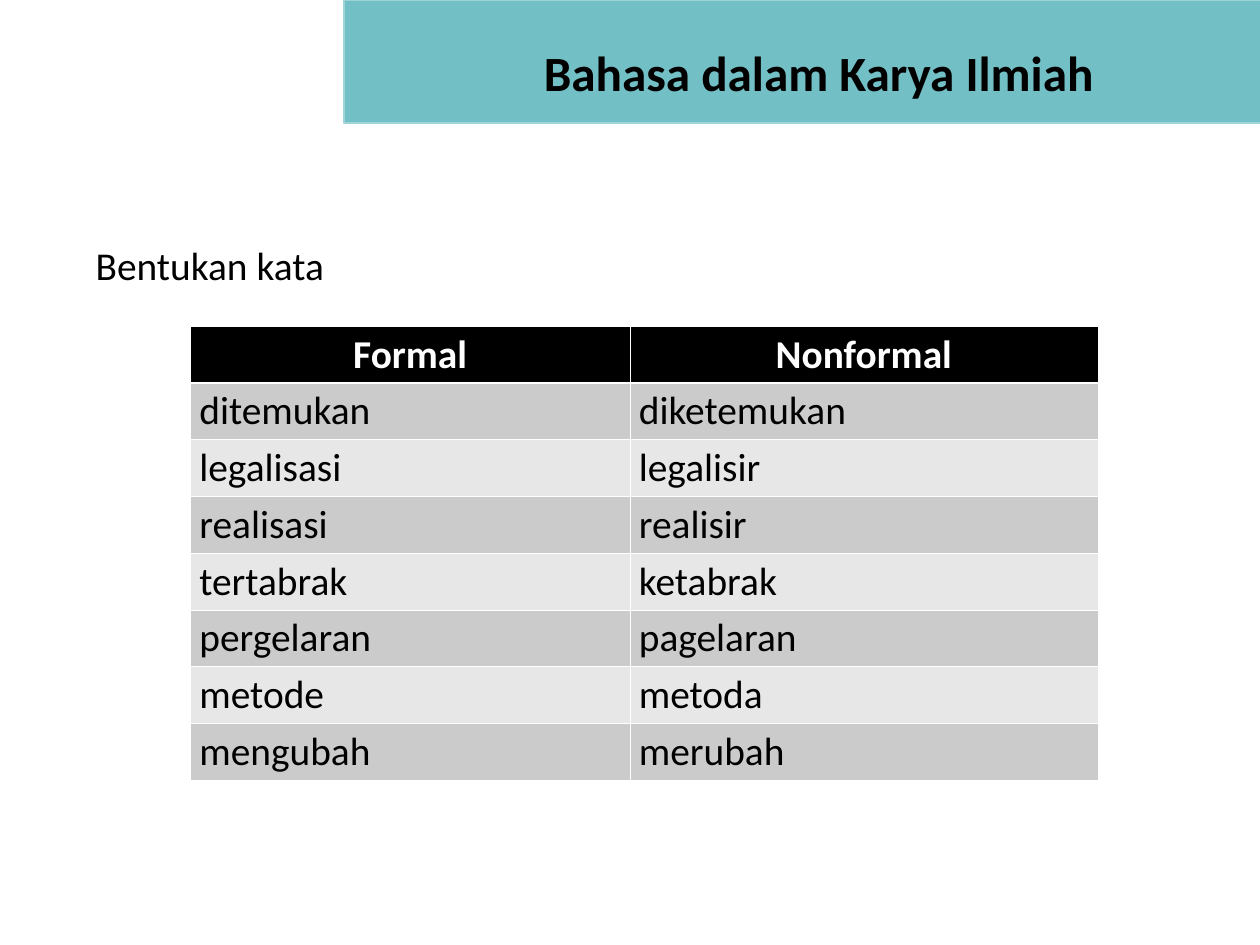
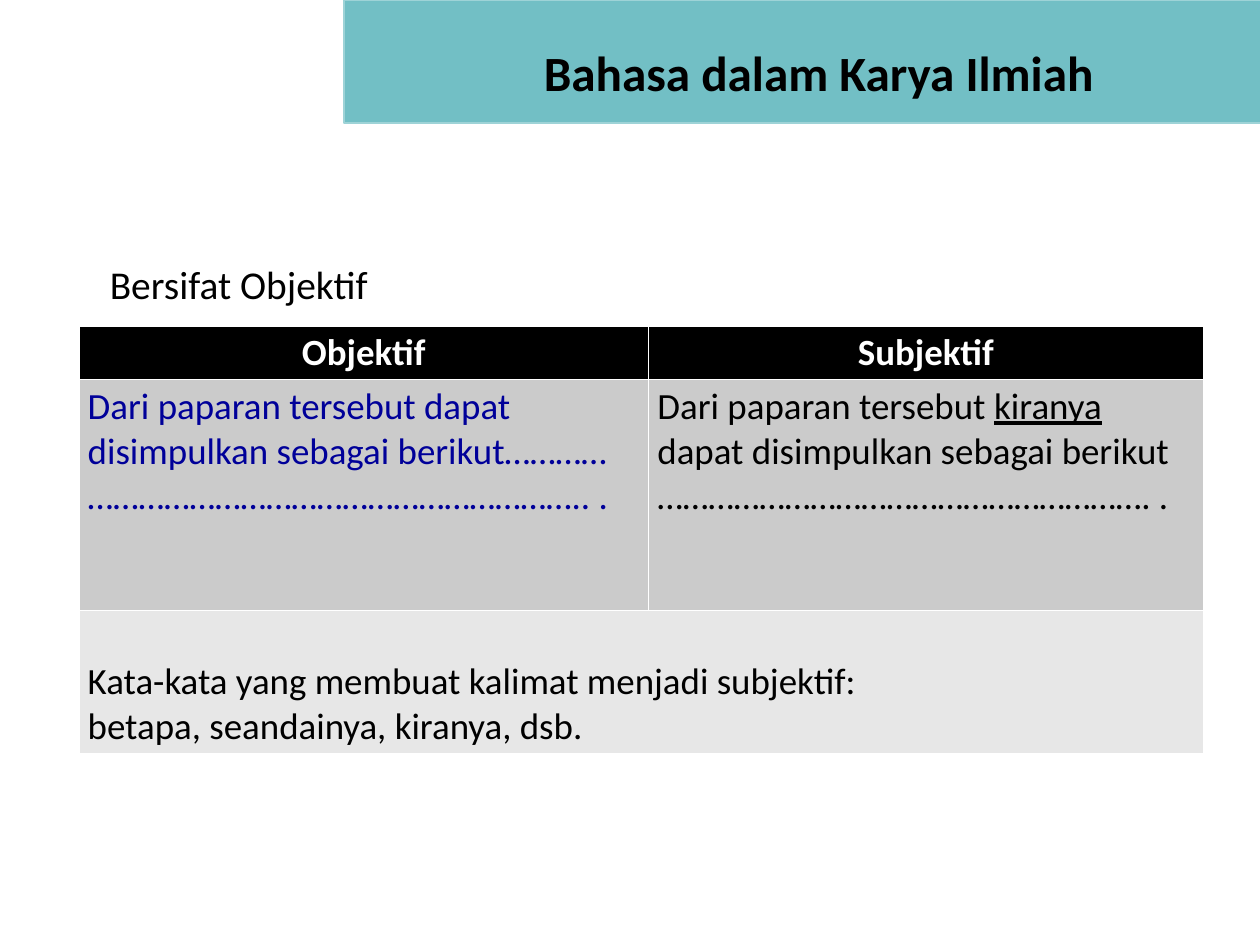
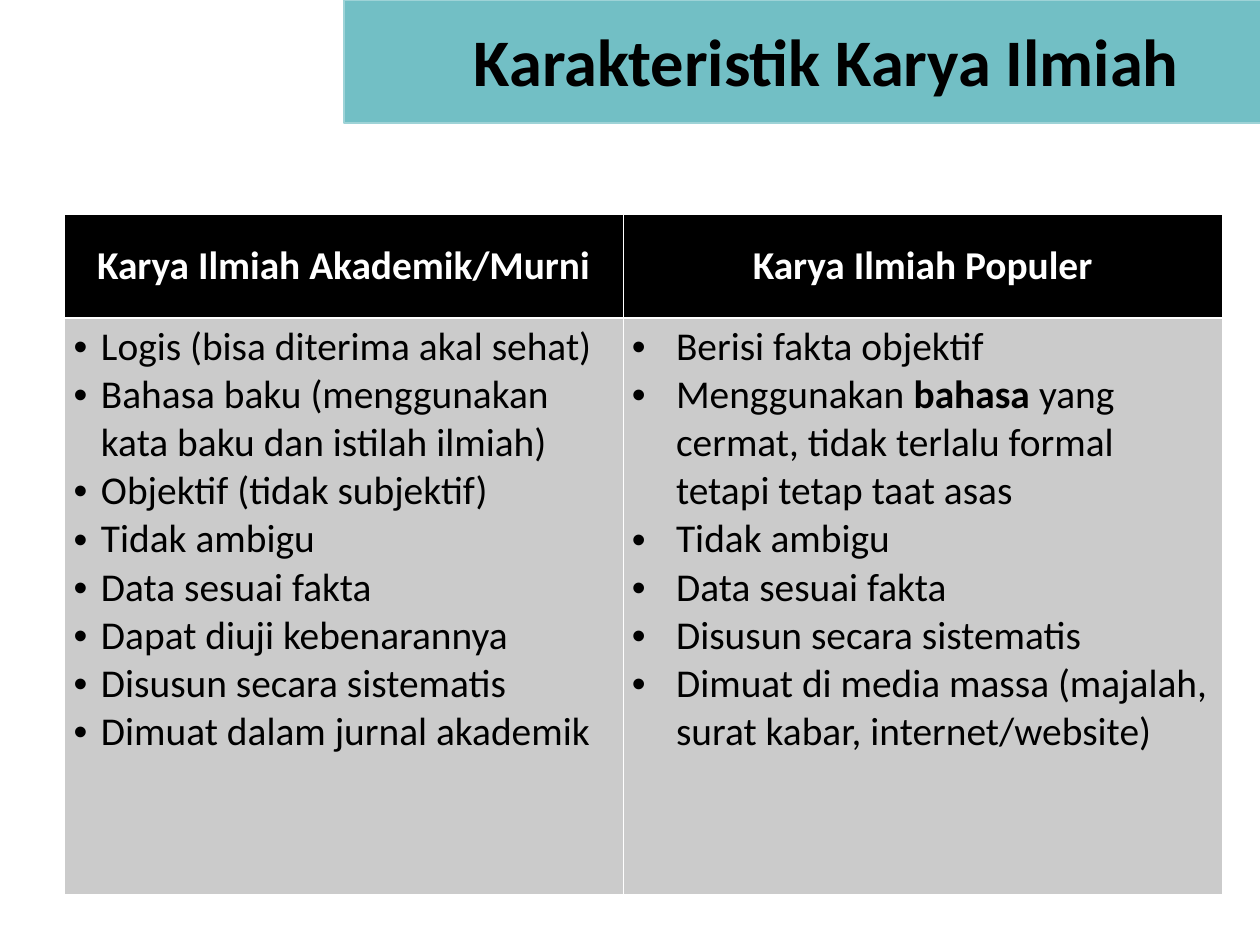
from lxml import etree
from pptx import Presentation
from pptx.dml.color import RGBColor
from pptx.enum.shapes import MSO_SHAPE
from pptx.enum.text import MSO_ANCHOR as ANCHOR, PP_ALIGN as ALIGN
from pptx.oxml.ns import qn
from pptx.util import Inches, Pt

FONT = "Calibri"
BLACK = RGBColor(0x00, 0x00, 0x00)
WHITE = RGBColor(0xFF, 0xFF, 0xFF)
TEAL = RGBColor(0x72, 0xBF, 0xC5)
TEAL_EDGE = RGBColor(0x9E, 0xD3, 0xD7)
BLUE = RGBColor(0x00, 0x00, 0x99)
BANDS = (RGBColor(0xCB, 0xCB, 0xCB), RGBColor(0xE7, 0xE7, 0xE7))
THIN, THICK = 0.45, 1.47
TITLE_BOX = (5.38, 0.25, 7.72, 1.11)
WIDE_TITLE_BOX = (4.12, -0.04, 10.42, 1.43)

WORD_PAIRS = [
    ("ditemukan", "diketemukan"),
    ("legalisasi", "legalisir"),
    ("realisasi", "realisir"),
    ("tertabrak", "ketabrak"),
    ("pergelaran", "pagelaran"),
    ("metode", "metoda"),
    ("mengubah", "merubah"),
]
OBJECTIVE = ["Dari paparan tersebut dapat disimpulkan sebagai berikut………… "
             "………………………………………………….. ."]
SUBJECTIVE = [["Dari paparan tersebut ", ("kiranya", {"underline": True}),
               " dapat disimpulkan sebagai berikut "
               "…………………………………………………. ."]]
SUBJECTIVE_WORDS = ["Kata-kata yang membuat kalimat menjadi subjektif:",
                    "betapa, seandainya, kiranya, dsb."]
ACADEMIC = [
    "Logis (bisa diterima akal sehat)",
    "Bahasa baku (menggunakan kata baku dan istilah ilmiah)",
    "Objektif (tidak subjektif)",
    "Tidak ambigu",
    "Data sesuai fakta",
    "Dapat diuji kebenarannya",
    "Disusun secara sistematis",
    "Dimuat dalam jurnal akademik",
]
POPULAR = [
    "Berisi fakta objektif",
    ["Menggunakan ", ("bahasa", {"bold": True}),
     " yang cermat, tidak terlalu formal tetapi tetap taat asas"],
    "Tidak ambigu",
    "Data sesuai fakta",
    "Disusun secara sistematis",
    "Dimuat di media massa (majalah, surat kabar, internet/website)",
]


def set_bullet(p, hang):
    """Give a paragraph a black round bullet with a hanging indent in inches."""
    pPr = p._p.get_or_add_pPr()
    pPr.set("marL", str(Inches(hang)))
    pPr.set("indent", str(-Inches(hang)))
    clr = etree.SubElement(pPr, qn("a:buClr"))
    etree.SubElement(clr, qn("a:srgbClr"), val=str(BLACK))
    etree.SubElement(pPr, qn("a:buFont"), typeface="Arial")
    etree.SubElement(pPr, qn("a:buChar"), char="•")


def write_text(tf, paragraphs, size=32, color=BLACK, bold=False, align=ALIGN.LEFT, hang=None):
    """Fill a text frame with paragraphs, each a string or a list of runs."""
    for i, runs in enumerate(paragraphs):
        p = tf.add_paragraph() if i else tf.paragraphs[0]
        p.alignment = align
        if hang:
            set_bullet(p, hang)
        for run in [runs] if isinstance(runs, str) else runs:
            text, marks = (run, {}) if isinstance(run, str) else run
            r = p.add_run()
            r.text = text
            r.font.name, r.font.size = FONT, Pt(size)
            r.font.color.rgb = color
            r.font.bold = marks.get("bold", bold)
            r.font.underline = marks.get("underline")


def add_textbox(s, box, text, anchor=ANCHOR.TOP, left_inset=0.06, **fmt):
    """Place one wrapped paragraph in a box given in inches."""
    tf = s.shapes.add_textbox(*map(Inches, box)).text_frame
    tf.word_wrap = True
    tf.vertical_anchor = anchor
    tf.margin_left = Inches(left_inset)
    tf.margin_top = tf.margin_right = tf.margin_bottom = Inches(0.06)
    write_text(tf, [text], **fmt)


def add_label(s, left, top, text):
    """Place the indented line that introduces a table."""
    add_textbox(s, (left, top, 8, 0.7), text, left_inset=0.35)


def set_borders(cell, top, bottom):
    """Draw white borders round a cell, with the widths given in points."""
    tcPr = cell._tc.get_or_add_tcPr()
    sides = (("L", THIN), ("R", THIN), ("T", top), ("B", bottom))
    for i, (side, width) in enumerate(sides):
        ln = etree.Element(qn(f"a:ln{side}"), w=str(Pt(width)))
        fill = etree.SubElement(ln, qn("a:solidFill"))
        etree.SubElement(fill, qn("a:srgbClr"), val=str(WHITE))
        tcPr.insert(i, ln)


def add_banded_table(s, left, top, widths, heights, headers, body, size=32,
                     header_anchor=ANCHOR.TOP):
    """Build a table with a black header and grey bands; body cells are (paragraphs, format)."""
    table = s.shapes.add_table(len(heights), len(widths), Inches(left), Inches(top),
                               Inches(sum(widths)), Inches(sum(heights))).table
    table.first_row = table.horz_banding = False
    for column, width in zip(table.columns, widths):
        column.width = Inches(width)
    for row, height in zip(table.rows, heights):
        row.height = Inches(height)
    head_fmt = {"color": WHITE, "bold": True, "align": ALIGN.CENTER}
    rows = [[([h], head_fmt) for h in headers]] + body
    for i, row in enumerate(rows):
        for j, (paragraphs, fmt) in enumerate(row):
            cell = table.cell(i, j)
            if len(row) < len(widths):
                cell.merge(table.cell(i, len(widths) - 1))
            cell.fill.solid()
            cell.fill.fore_color.rgb = BANDS[(i - 1) % 2] if i else BLACK
            if i == 0:
                cell.vertical_anchor = header_anchor
            set_borders(cell, THICK if i == 1 else THIN, THIN if i else THICK)
            write_text(cell.text_frame, paragraphs, size=size, **fmt)
    return table


def new_slide(prs, title, box=TITLE_BOX, size=40):
    """Add a blank slide with the teal band and its title."""
    s = prs.slides.add_slide(prs.slide_layouts[6])
    band = s.shapes.add_shape(MSO_SHAPE.RECTANGLE, Inches(3.88), Inches(0),
                              Inches(10.77), Inches(1.39))
    band.shadow.inherit = False
    band.fill.solid()
    band.fill.fore_color.rgb = TEAL
    band.line.color.rgb = TEAL_EDGE
    band.line.width = Pt(2)
    add_textbox(s, box, title, anchor=ANCHOR.MIDDLE, size=size, bold=True, align=ALIGN.CENTER)
    return s


def word_forms_slide(prs):
    """Compare formal and nonformal word forms."""
    s = new_slide(prs, "Bahasa dalam Karya Ilmiah")
    add_label(s, 0.73, 2.66, "Bentukan kata")
    body = [[([word], {}) for word in pair] for pair in WORD_PAIRS]
    add_banded_table(s, 2.15, 3.68, (4.96, 5.28), [0.64] * (len(body) + 1),
                     ("Formal", "Nonformal"), body)


def objectivity_slide(prs):
    """Compare objective and subjective sentences."""
    s = new_slide(prs, "Bahasa dalam Karya Ilmiah")
    add_label(s, 0.89, 2.88, "Bersifat Objektif")
    body = [[(OBJECTIVE, {"color": BLUE}), (SUBJECTIVE, {})], [(SUBJECTIVE_WORDS, {})]]
    table = add_banded_table(s, 0.89, 3.68, (6.43, 6.26), (0.6, 2.6, 1.62),
                             ("Objektif", "Subjektif"), body, size=30)
    table.cell(2, 0).vertical_anchor = ANCHOR.BOTTOM


def characteristics_slide(prs):
    """Compare academic and popular scientific writing."""
    s = new_slide(prs, "Karakteristik Karya Ilmiah", box=WIDE_TITLE_BOX, size=54)
    body = [[(ACADEMIC, {"hang": 0.31}), (POPULAR, {"hang": 0.5})]]
    add_banded_table(s, 0.73, 2.42, (6.3, 6.77), (1.17, 6.5),
                     ("Karya Ilmiah Akademik/Murni", "Karya Ilmiah Populer"), body,
                     header_anchor=ANCHOR.MIDDLE)


def main():
    """Build and save the presentation."""
    prs = Presentation()
    prs.slide_width, prs.slide_height = Inches(14.22), Inches(10.66)
    word_forms_slide(prs)
    objectivity_slide(prs)
    characteristics_slide(prs)
    prs.save("out.pptx")


if __name__ == "__main__":
    main()
